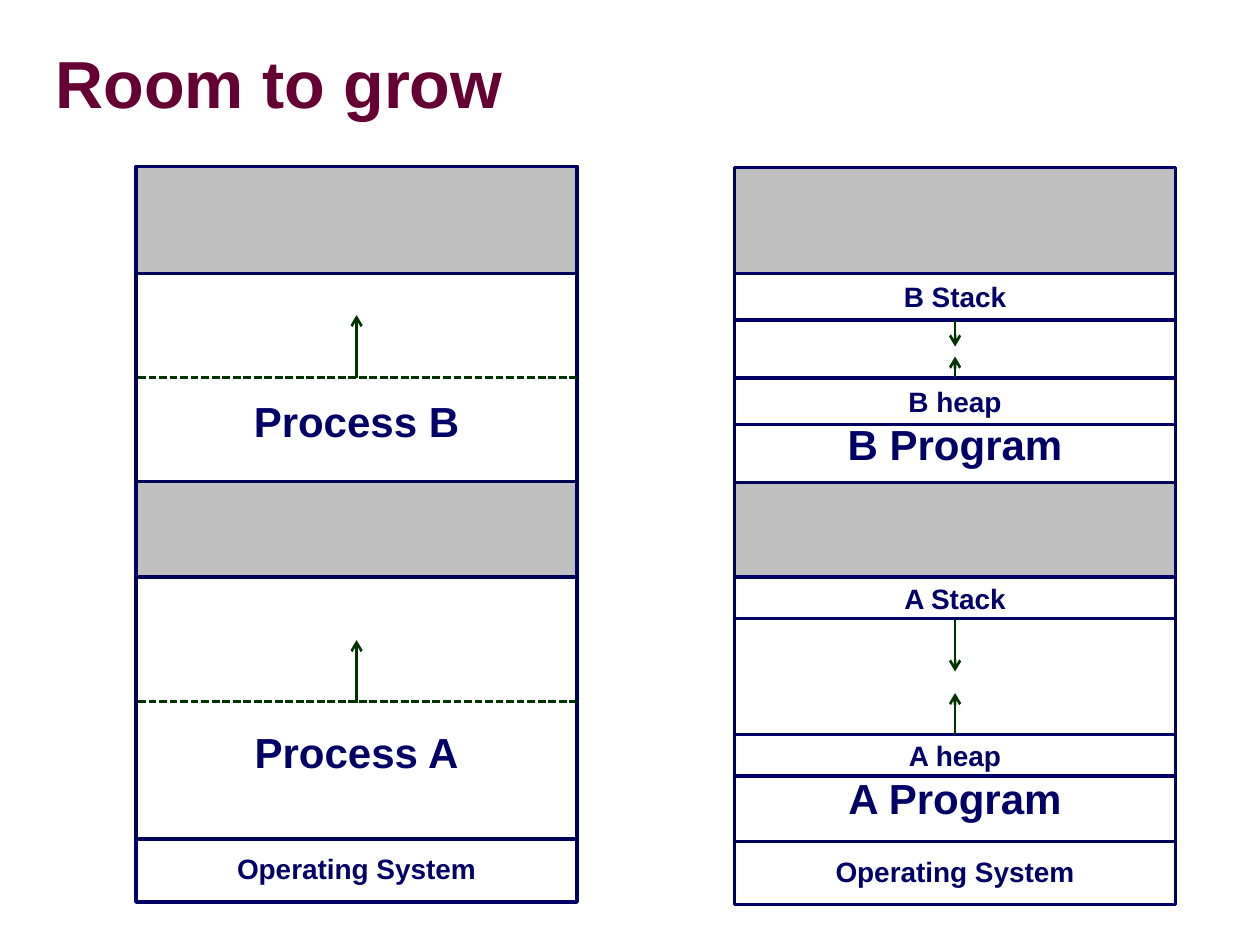
from pptx import Presentation
from pptx import util as u
from pptx.dml.color import RGBColor
from pptx.enum import dml, shapes, text
from pptx.oxml import parse_xml
from pptx.oxml.ns import nsdecls, qn
from lxml import etree

NAVY = RGBColor(0x00, 0x00, 0x66)
DEEP_NAVY = RGBColor(0x00, 0x00, 0x56)
GREEN = RGBColor(0x00, 0x33, 0x00)
MAROON = RGBColor(0x66, 0x00, 0x33)
GRAY = RGBColor(0xC0, 0xC0, 0xC0)
WHITE = RGBColor(0xFF, 0xFF, 0xFF)

LEFT_COLUMN, RIGHT_COLUMN, COLUMN_WIDTH = 1.08, 5.83, 3.5
TITLE_SHADOW = (
    f'<a:effectLst {nsdecls("a")}>'
    '<a:outerShdw blurRad="38100" dist="38100" dir="2700000" algn="tl">'
    '<a:srgbClr val="C0C0C0"/></a:outerShdw></a:effectLst>'
)


def write(frame, words, size, color):
    frame.text = words
    para = frame.paragraphs[0]
    span = para.runs[0]
    span.font.name = "Arial"
    span.font.size = u.Pt(size)
    span.font.bold = True
    span.font.color.rgb = color
    return para


def add_title(slide, words):
    box = slide.shapes.add_textbox(
        u.Inches(0.44), u.Inches(0.27), u.Inches(9.53), u.Inches(0.85))
    frame = box.text_frame
    frame.word_wrap = True
    frame.vertical_anchor = text.MSO_ANCHOR.MIDDLE
    frame.margin_left = frame.margin_right = 0
    frame.margin_top = frame.margin_bottom = 0
    para = write(frame, words, 38, MAROON)
    para.line_spacing = 0.87
    properties = para.runs[0].font._element
    properties.find(qn("a:solidFill")).addnext(parse_xml(TITLE_SHADOW))


def add_block(slide, left, top, height, fill=WHITE, line=NAVY):
    block = slide.shapes.add_shape(
        shapes.MSO_SHAPE.RECTANGLE, u.Inches(left), u.Inches(top),
        u.Inches(COLUMN_WIDTH), u.Inches(height))
    block.shadow.inherit = False
    block.fill.solid()
    block.fill.fore_color.rgb = fill
    block.line.color.rgb = line
    block.line.width = u.Pt(2)
    return block


def add_segment(slide, left, top, height, words):
    block = add_block(slide, left, top, height)
    frame = block.text_frame
    frame.word_wrap = False
    frame.vertical_anchor = text.MSO_ANCHOR.MIDDLE
    write(frame, words, 16, NAVY).alignment = text.PP_ALIGN.CENTER
    return block


def add_process(slide, left, top, height, words, bottom_margin):
    block = add_block(slide, left, top, height, line=DEEP_NAVY)
    frame = block.text_frame
    frame.word_wrap = False
    frame.vertical_anchor = text.MSO_ANCHOR.BOTTOM
    frame.margin_bottom = u.Inches(bottom_margin)
    para = write(frame, words, 24, NAVY)
    para.alignment = text.PP_ALIGN.CENTER
    para.line_spacing = 0.9
    return block


def add_line(slide, start, end):
    line = slide.shapes.add_connector(
        shapes.MSO_CONNECTOR.STRAIGHT, *map(u.Inches, start + end))
    line.line.color.rgb = GREEN
    line.line.width = u.Pt(1.5)
    etree.SubElement(line._element.spPr, qn("a:effectLst"))
    return line


def add_divider(slide, left, y):
    line = add_line(slide, (left + COLUMN_WIDTH, y), (left, y))
    line.line.dash_style = dml.MSO_LINE.SQUARE_DOT
    return line


def add_arrow(slide, left, start, end, source=None, site=0):
    middle = left + COLUMN_WIDTH / 2
    arrow = add_line(slide, (middle, start), (middle, end))
    if source is not None:
        arrow.begin_connect(source, site)
    etree.SubElement(arrow.line._get_or_add_ln(), qn("a:tailEnd"), type="arrow")


def add_simple_memory(slide):
    left = LEFT_COLUMN
    add_block(slide, left, 1.32, 5.83, GRAY)
    add_segment(slide, left, 6.63, 0.53, "Operating System")
    process_b = add_process(slide, left, 2.17, 1.65, "Process B", 0.28)
    add_process(slide, left, 4.58, 2.08, "Process A", 0.49)
    divider = add_divider(slide, left, 2.99)
    divider.begin_connect(process_b, 3)
    divider.end_connect(process_b, 1)
    add_divider(slide, left, 5.57)
    for start in (3, 5.58):
        add_arrow(slide, left, start, start - 0.5)


def add_split_memory(slide):
    left = RIGHT_COLUMN
    add_block(slide, left, 1.33, 5.83, GRAY)
    add_segment(slide, left, 6.65, 0.53, "Operating System")
    add_process(slide, left, 2.18, 1.65, "B Program", 0.1)
    add_process(slide, left, 4.6, 2.08, "A Program", 0.14)
    for name, stack_top, heap_top, height, stack_tip, heap_tip in (
            ("A", 4.58, 5.83, 0.33, 5.33, 5.5),
            ("B", 2.17, 3, 0.37, 2.75, 2.83)):
        heap = add_segment(slide, left, heap_top, height, f"{name} heap")
        stack = add_segment(slide, left, stack_top, height, f"{name} Stack")
        add_arrow(slide, left, heap_top, heap_tip, heap, 0)
        add_arrow(slide, left, stack_top + height, stack_tip, stack, 2)


def main():
    deck = Presentation()
    deck.slide_width = u.Inches(10)
    deck.slide_height = u.Inches(7.5)
    page = deck.slides.add_slide(deck.slide_layouts[6])
    add_title(page, "Room to grow")
    add_simple_memory(page)
    add_split_memory(page)
    deck.save("out.pptx")


if __name__ == "__main__":
    main()
